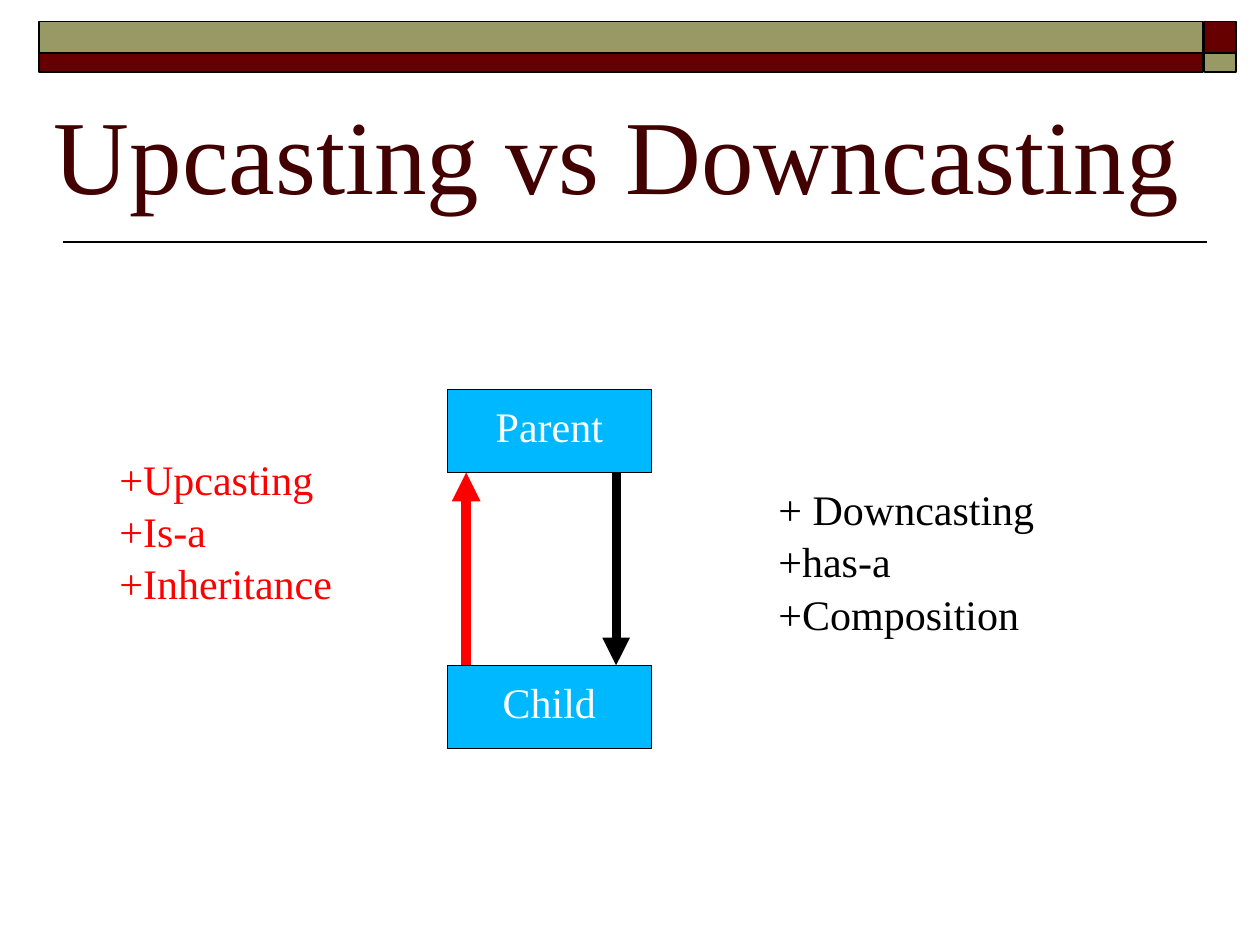
from dataclasses import dataclass

from lxml.etree import SubElement
from pptx import Presentation
from pptx.dml.color import RGBColor
from pptx.enum.shapes import MSO_CONNECTOR as Connector, MSO_SHAPE as Shape
from pptx.enum.text import MSO_ANCHOR as Anchor, MSO_AUTO_SIZE as AutoSize, PP_ALIGN as Align
from pptx.oxml.ns import qn
from pptx.util import Inches, Pt

FONT = "Times New Roman"
BLACK = RGBColor(0x00, 0x00, 0x00)
WHITE = RGBColor(0xFF, 0xFF, 0xFF)
RED = RGBColor(0xFF, 0x00, 0x00)
MAROON = RGBColor(0x66, 0x00, 0x00)
DARK_MAROON = RGBColor(0x42, 0x00, 0x00)
OLIVE = RGBColor(0x99, 0x99, 0x66)
SKY = RGBColor(0x00, 0xB8, 0xFF)

# The slide is a grid of 100 columns by 75 rows
COLUMNS, ROWS = 100, 75


@dataclass(frozen=True)
class Area:
    left: float
    top: float
    width: float
    height: float

    def emu(self) -> tuple[int, int, int, int]:
        return col(self.left), row(self.top), col(self.width), row(self.height)


@dataclass(frozen=True)
class ClassBox:
    label: str
    top: float


@dataclass(frozen=True)
class Cast:
    color: RGBColor
    arrow_column: float
    start_row: float
    end_row: float
    weight: float
    traits: tuple[str, ...]
    traits_area: Area


prs = Presentation()
prs.slide_width, prs.slide_height = Inches(10), Inches(7.5)


def col(count: float) -> int:
    return round(prs.slide_width * count / COLUMNS)


def row(count: float) -> int:
    return round(prs.slide_height * count / ROWS)


def write(frame, text: str, size: float, color: RGBColor, align: Align,
          spacing: float = 1.0) -> None:
    frame.text = text
    for paragraph in frame.paragraphs:
        paragraph.alignment = align
        paragraph.line_spacing = spacing
        for run in paragraph.runs:
            run.font.name = FONT
            run.font.size = Pt(size)
            run.font.color.rgb = color


def draw_rectangle(slide, area: Area, fill: RGBColor, weight: float):
    rectangle = slide.shapes.add_shape(Shape.RECTANGLE, *area.emu())
    rectangle.shadow.inherit = False
    rectangle.fill.solid()
    rectangle.fill.fore_color.rgb = fill
    rectangle.line.color.rgb = BLACK
    rectangle.line.width = Pt(weight)
    return rectangle


def draw_line(slide, start: tuple[float, float], end: tuple[float, float],
              color: RGBColor, weight: float, arrow: bool = False) -> None:
    line = slide.shapes.add_connector(
        Connector.STRAIGHT, col(start[0]), row(start[1]), col(end[0]), row(end[1]))
    line.line.color.rgb = color
    line.line.width = Pt(weight)
    properties = line.element.spPr
    if arrow:
        SubElement(properties.find(qn("a:ln")), qn("a:tailEnd"), type="triangle")
    SubElement(properties, qn("a:effectLst"))


def draw_class(slide, box: ClassBox) -> None:
    area = Area(CLASS_LEFT, box.top, CLASS_WIDTH, CLASS_HEIGHT)
    frame = draw_rectangle(slide, area, SKY, 0.75).text_frame
    frame.vertical_anchor = Anchor.TOP
    frame.margin_top = Inches(0.07)
    write(frame, box.label, 24, WHITE, Align.CENTER, 1.04)


def draw_cast(slide, cast: Cast) -> None:
    draw_line(slide, (cast.arrow_column, cast.start_row),
              (cast.arrow_column, cast.end_row), cast.color, cast.weight, arrow=True)
    frame = slide.shapes.add_textbox(*cast.traits_area.emu()).text_frame
    frame.word_wrap = False
    frame.auto_size = AutoSize.SHAPE_TO_FIT_TEXT
    frame.margin_top = Inches(0.07)
    write(frame, "\n".join(cast.traits), 24, cast.color, Align.LEFT, 1.04)


# Class diagram layout
CLASS_LEFT, CLASS_WIDTH, CLASS_HEIGHT = 35.5, 16.2, 6.6
PARENT = ClassBox("Parent", 30.9)
CHILD = ClassBox("Child", 52.8)
PARENT_BOTTOM = PARENT.top + CLASS_HEIGHT
CASTS = (
    Cast(RED, 37, CHILD.top, PARENT_BOTTOM, 5.5,
         ("+Upcasting", "+Is-a", "+Inheritance"), Area(8.5, 35.1, 19, 13.1)),
    Cast(BLACK, 48.9, PARENT_BOTTOM, CHILD.top, 5.25,
         ("+ Downcasting", "+has-a", "+Composition"), Area(60.8, 37.5, 22.5, 13.1)),
)

# Header band: each row swaps the two colours
BAND_COLUMNS = ((3.1, 92.4), (95.6, 2.5))
BAND_ROWS = ((1.7, 2.5, (OLIVE, MAROON)), (4.2, 1.5, (MAROON, OLIVE)))


def main() -> None:
    slide = prs.slides.add_slide(prs.slide_layouts[5])

    # Header band and rule
    draw_line(slide, (95.8, 19.2), (5, 19.2), BLACK, 1)
    for top, height, colors in BAND_ROWS:
        for (left, width), color in zip(BAND_COLUMNS, colors):
            draw_rectangle(slide, Area(left, top, width, height), color, 1)

    # Title
    title = slide.shapes.title
    title.left, title.top, title.width, title.height = Area(0, 9.1, 97.9, 8.5).emu()
    title.text_frame.vertical_anchor = Anchor.BOTTOM
    title.text_frame.auto_size = AutoSize.NONE
    write(title.text_frame, "Upcasting vs Downcasting", 60, DARK_MAROON, Align.CENTER)

    # Classes, arrows and their traits
    for box in (PARENT, CHILD):
        draw_class(slide, box)
    for cast in CASTS:
        draw_cast(slide, cast)

    prs.save("out.pptx")


if __name__ == "__main__":
    main()
